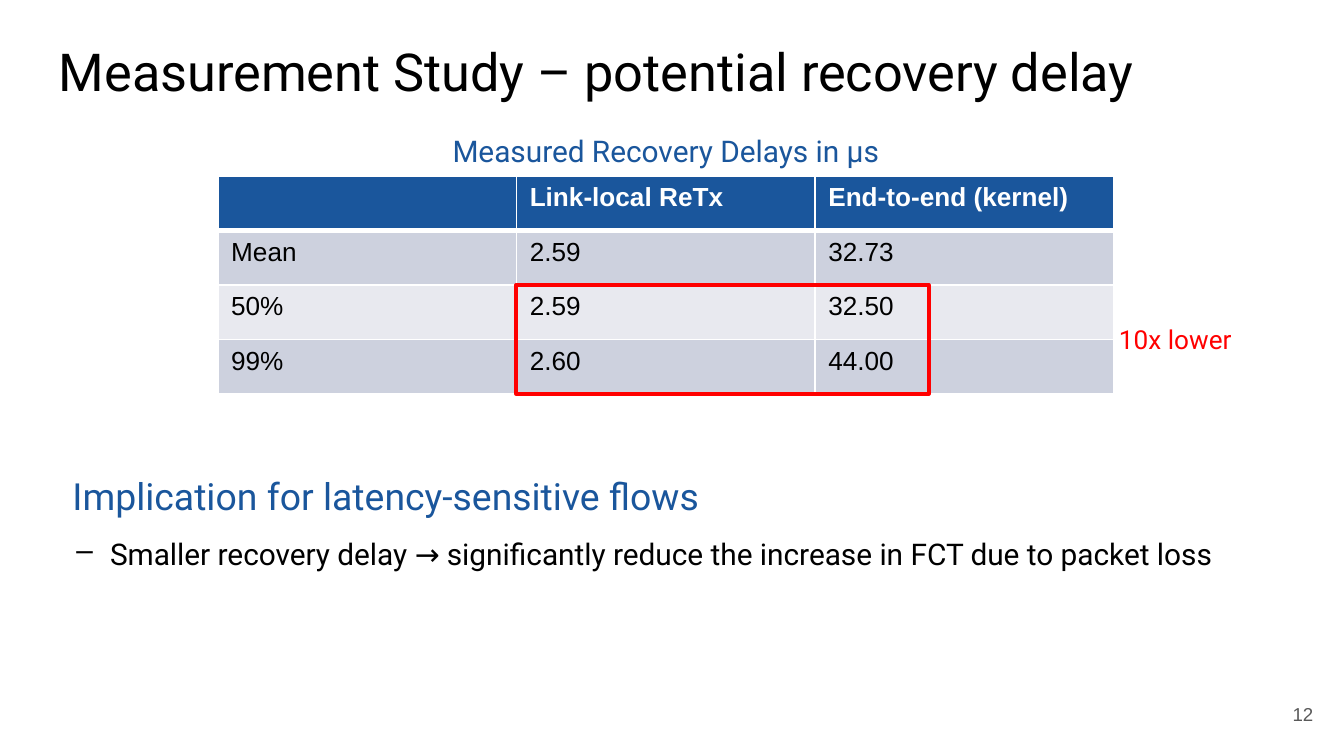
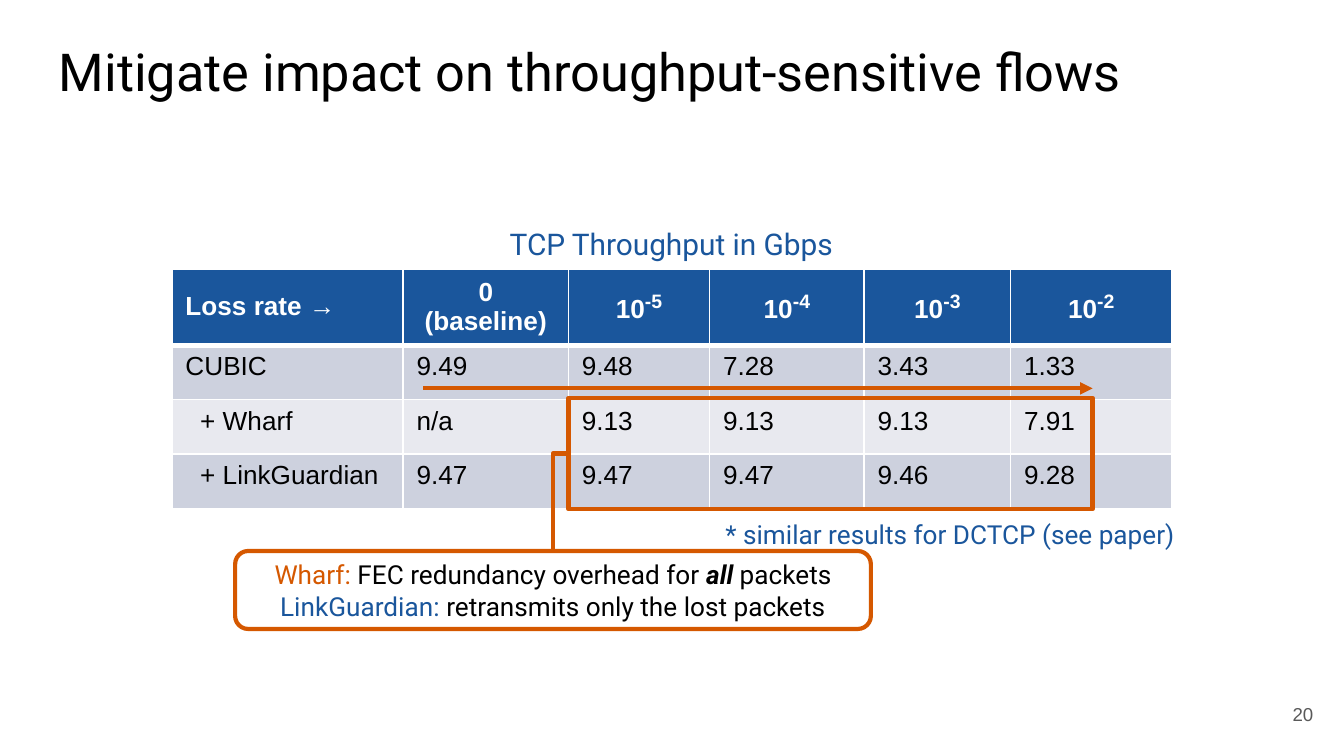
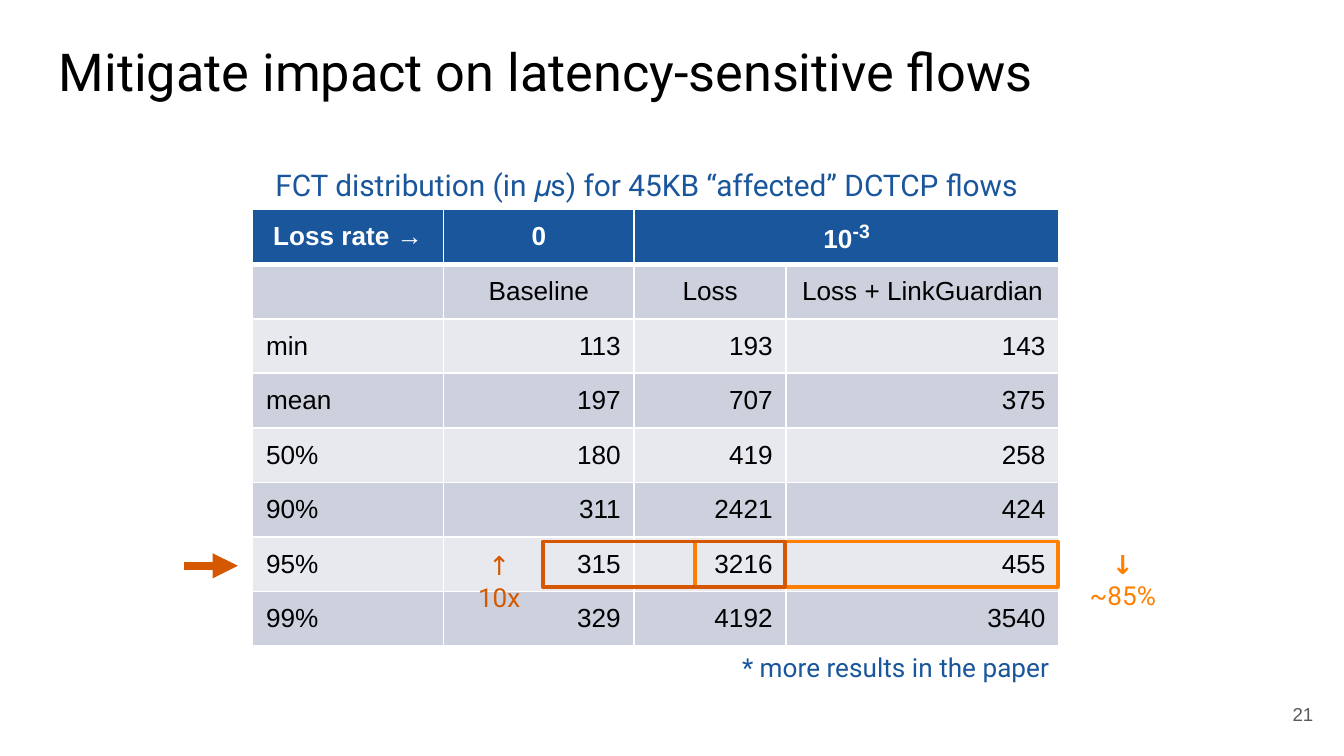
from dataclasses import dataclass

import pptx
import pptx.dml.color
import pptx.enum.shapes
import pptx.enum.text
import pptx.oxml
import pptx.oxml.ns
import pptx.util
from lxml import etree

ALIGN = pptx.enum.text.PP_ALIGN
ANCHOR = pptx.enum.text.MSO_ANCHOR
SHAPE = pptx.enum.shapes.MSO_SHAPE
CONNECTOR = pptx.enum.shapes.MSO_CONNECTOR
qn = pptx.oxml.ns.qn


@dataclass(frozen=True)
class Theme:
    black: str = "000000"
    white: str = "FFFFFF"
    blue: str = "1A569C"
    red: str = "FF0000"
    rust: str = "D55800"
    orange: str = "FF8001"
    gray: str = "595959"
    band_dark: str = "CDD1DE"
    band_light: str = "E8E9EF"
    body_font: str = "Roboto"
    table_font: str = "Arial"
    title_size: int = 28
    heading_size: int = 20
    superscript_size: int = 18
    caption_size: int = 16
    text_size: int = 14
    number_size: int = 10


THEME = Theme()
GRID_STEP = 0.1
GRID_COLUMNS = 100
GRID_ROWS = 56.25
TABLE_ROW = 4.06


@dataclass(frozen=True)
class Piece:
    text: str
    color: str = THEME.black
    size: int = THEME.text_size
    font: str = THEME.body_font
    bold: bool = False
    italic: bool = False
    superscript: bool = False


def grid(*steps):
    return [pptx.util.Inches(step * GRID_STEP) for step in steps]


def rgb(value):
    return pptx.dml.color.RGBColor.from_string(value)


def write(paragraph, pieces, alignment=ALIGN.LEFT):
    paragraph.alignment = alignment
    for piece in pieces:
        run = paragraph.add_run()
        run.text = piece.text
        run.font.name = piece.font
        run.font.size = pptx.util.Pt(piece.size)
        run.font.bold = piece.bold
        run.font.italic = piece.italic
        run.font.color.rgb = rgb(piece.color)
        if piece.superscript:
            run.font._element.set("baseline", "30000")


def indent(paragraph, margin, hanging=0, bullet=None):
    properties = paragraph._p.get_or_add_pPr()
    properties.set("marL", str(pptx.util.Inches(margin)))
    properties.set("indent", str(-pptx.util.Inches(hanging)))
    if bullet:
        etree.SubElement(properties, qn("a:buChar")).set("char", bullet)


def add_text_box(slide, box, wrap=True, inset=0.1):
    text_frame = slide.shapes.add_textbox(*grid(*box)).text_frame
    text_frame.word_wrap = wrap
    text_frame.margin_top = text_frame.margin_bottom = pptx.util.Inches(inset)
    return text_frame


def add_label(slide, box, pieces, alignment=ALIGN.CENTER, wrap=False):
    text_frame = add_text_box(slide, box, wrap, inset=0.05)
    text_frame.auto_size = pptx.enum.text.MSO_AUTO_SIZE.SHAPE_TO_FIT_TEXT
    write(text_frame.paragraphs[0], pieces, alignment)


def add_caption(slide, box, text, alignment=ALIGN.CENTER, wrap=False):
    add_label(slide, box, [Piece(text, THEME.blue, THEME.caption_size)], alignment, wrap)


def add_slide(presentation, title, number):
    slide = presentation.slides.add_slide(presentation.slide_layouts[6])
    title_frame = add_text_box(slide, (3.4, 1.9, 93.2, 6.3))
    write(title_frame.paragraphs[0], [Piece(title, size=THEME.title_size)])
    number_frame = add_text_box(slide, (92.7, 51, 6, 4.3))
    number_frame.vertical_anchor = ANCHOR.MIDDLE
    number_piece = Piece(number, THEME.gray, THEME.number_size, THEME.table_font)
    write(number_frame.paragraphs[0], [number_piece], ALIGN.RIGHT)
    return slide


def set_borders(cell, row):
    properties = cell._tc.get_or_add_tcPr()
    widths = {"L": 1, "R": 1, "T": 3 if row == 1 else 1, "B": 3 if row == 0 else 1}
    for side, width in widths.items():
        line = etree.SubElement(properties, qn(f"a:ln{side}"))
        line.set("w", str(pptx.util.Pt(width)))
        fill = etree.SubElement(line, qn("a:solidFill"))
        etree.SubElement(fill, qn("a:srgbClr")).set("val", THEME.white)


def fill_cell(cell, text, row, alignment):
    set_borders(cell, row)
    header = row == 0
    band = THEME.band_dark if row % 2 else THEME.band_light
    cell.fill.solid()
    cell.fill.fore_color.rgb = rgb(THEME.blue if header else band)
    if not text:
        return
    color = THEME.white if header else THEME.black
    base, _, exponent = text.partition("^")
    pieces = [Piece(base, color, font=THEME.table_font, bold=header)]
    if exponent:
        pieces.append(Piece(exponent, color, THEME.superscript_size,
                            THEME.table_font, bold=header, superscript=True))
    paragraph = cell.text_frame.paragraphs[0]
    write(paragraph, pieces, alignment)
    if text.startswith("+"):
        indent(paragraph, 0.11)


def add_table(slide, left, top, columns, rows, align, anchor, header_height=TABLE_ROW):
    heights = [header_height] + [TABLE_ROW] * (len(rows) - 1)
    frame = slide.shapes.add_table(len(rows), len(columns),
                                   *grid(left, top, sum(columns), sum(heights)))
    table = frame.table
    table.horz_banding = False
    for column, width in zip(table.columns, grid(*columns)):
        column.width = width
    for row, height in zip(table.rows, grid(*heights)):
        row.height = height
    for row, texts in enumerate(rows):
        for column, text in enumerate(texts):
            cell = table.cell(row, column)
            cell.vertical_anchor = anchor(row)
            fill_cell(cell, text, row, align(row, column))
    return table


def add_outline(slide, box, color, width=2, preset=SHAPE.RECTANGLE, fill=None):
    shape = slide.shapes.add_shape(preset, *grid(*box))
    shape.shadow.inherit = False
    if fill:
        shape.fill.solid()
        shape.fill.fore_color.rgb = rgb(fill)
    else:
        shape.fill.background()
    shape.line.color.rgb = rgb(color)
    shape.line.width = pptx.util.Pt(width)
    return shape


def add_line(slide, ends, color, width, kind=CONNECTOR.STRAIGHT, arrow=True):
    connector = slide.shapes.add_connector(kind, *grid(*ends))
    connector.line.color.rgb = rgb(color)
    connector.line.width = pptx.util.Pt(width)
    if arrow:
        line = connector.line._get_or_add_ln()
        etree.SubElement(line, qn("a:tailEnd")).set("type", "triangle")
    etree.SubElement(connector._element.spPr, qn("a:effectLst"))
    return connector


def join_with_corner(slide, source, target, color, width):
    connector = add_line(slide, (0, 0, 0, 0), color, width, CONNECTOR.ELBOW, arrow=False)
    connector.begin_connect(source, 1)
    connector.end_connect(target, 0)
    connector._element.spPr.find(qn("a:prstGeom")).set("prst", "bentConnector2")


def build_recovery_delay(presentation):
    slide = add_slide(presentation, "Measurement Study – potential recovery delay", "12")
    body = add_text_box(slide, (3.4, 34.2, 93.2, 15.8))
    heading = body.paragraphs[0]
    indent(heading, 0.1)
    write(heading, [Piece("Implication for latency-sensitive flows", THEME.blue,
                          THEME.heading_size)])
    point = body.add_paragraph()
    point.level = 1
    point.line_spacing = 1.5
    indent(point, 0.38, 0.25, "–")
    write(point, [Piece("Smaller recovery delay → significantly reduce the increase in FCT "
                        "due to packet loss", size=THEME.caption_size)])
    rows = [
        ("", "Link-local ReTx", "End-to-end (kernel)"),
        ("Mean", "2.59", "32.73"),
        ("50%", "2.59", "32.50"),
        ("99%", "2.60", "44.00"),
    ]
    add_table(slide, 16.2, 13.1, [22.22] * 3, rows,
              lambda row, column: ALIGN.LEFT, lambda row: ANCHOR.TOP)
    add_caption(slide, (32.4, 9.4, 34.3, 3.7), "Measured Recovery Delays in µs")
    add_outline(slide, (38.4, 21.2, 30.7, 8.1), THEME.red)
    add_label(slide, (82.2, 23.6, 10.5, 3.4), [Piece("10x lower", THEME.red)])


def build_throughput(presentation):
    slide = add_slide(presentation, "Mitigate impact on throughput-sensitive flows", "20")
    rows = [
        ("Loss rate →", "0 (baseline)", "10^-5", "10^-4", "10^-3", "10^-2"),
        ("CUBIC", "9.49", "9.48", "7.28", "3.43", "1.33"),
        ("+ Wharf", "n/a", "9.13", "9.13", "9.13", "7.91"),
        ("+ LinkGuardian", "9.47", "9.47", "9.47", "9.46", "9.28"),
    ]
    add_table(slide, 12.8, 20, [17.2, 12.3, 10.5, 11.5, 10.9, 12], rows,
              lambda row, column: ALIGN.CENTER if row == 0 and column else ALIGN.LEFT,
              lambda row: ANCHOR.TOP if row else ANCHOR.MIDDLE, header_height=5.3)
    add_caption(slide, (36.7, 16.3, 26.5, 3.7), "TCP Throughput in Gbps")
    add_line(slide, (31.5, 28.9, 81.3, 28.9), THEME.rust, 2.25)
    compared = add_outline(slide, (42.3, 29.6, 39, 8.3), THEME.rust, 2.25)
    callout = add_outline(slide, (17.5, 41, 47.3, 5.8), THEME.rust, 2.25,
                          SHAPE.ROUNDED_RECTANGLE, THEME.white)
    text_frame = callout.text_frame
    text_frame.word_wrap = True
    text_frame.vertical_anchor = ANCHOR.MIDDLE
    write(text_frame.paragraphs[0],
          [Piece("Wharf: ", THEME.rust), Piece("FEC redundancy overhead for "),
           Piece("all", bold=True, italic=True), Piece(" packets")], ALIGN.CENTER)
    write(text_frame.add_paragraph(),
          [Piece("LinkGuardian: ", THEME.blue), Piece("retransmits only the lost packets")],
          ALIGN.CENTER)
    join_with_corner(slide, compared, callout, THEME.rust, 2.25)
    add_label(slide, (52.8, 38.1, 35.8, 3.4),
              [Piece("* similar results for DCTCP (see paper)", THEME.blue)])


def align_latency(row, column):
    if row == 0 or (row == 1 and column):
        return ALIGN.CENTER
    return ALIGN.RIGHT if column else ALIGN.LEFT


def build_latency(presentation):
    slide = add_slide(presentation, "Mitigate impact on latency-sensitive flows", "21")
    rows = [
        ("Loss rate →", "0", "10^-3", ""),
        ("", "Baseline", "Loss", "Loss + LinkGuardian"),
        ("min", "113", "193", "143"),
        ("mean", "197", "707", "375"),
        ("50%", "180", "419", "258"),
        ("90%", "311", "2421", "424"),
        ("95%", "315", "3216", "455"),
        ("99%", "329", "4192", "3540"),
    ]
    table = add_table(slide, 18.8, 15.6, [14.2, 14.2, 11.3, 20.3], rows,
                      align_latency, lambda row: ANCHOR.MIDDLE)
    table.cell(0, 2).merge(table.cell(0, 3))
    add_caption(slide, (19.5, 11.9, 58.1, 3.7),
                "FCT distribution (in 𝜇s) for 45KB “affected” DCTCP flows",
                ALIGN.LEFT, wrap=True)
    add_label(slide, (54.1, 48, 25.1, 3.4), [Piece("* more results in the paper", THEME.blue)])
    add_outline(slide, (51.7, 40.3, 27, 3.4), THEME.orange)
    add_label(slide, (79.3, 40.3, 8.5, 3.4),
              [Piece("↓", THEME.orange, bold=True), Piece(" ~85%", THEME.orange)], wrap=True)
    add_line(slide, (13.7, 42.1, 17.7, 42.1), THEME.rust, 4.5)
    add_outline(slide, (40.4, 40.3, 18, 3.4), THEME.rust)
    add_label(slide, (33.8, 40.4, 6.7, 3.4), [Piece("↑ 10x", THEME.rust)], wrap=True)


def main():
    presentation = pptx.Presentation()
    presentation.slide_width, presentation.slide_height = grid(GRID_COLUMNS, GRID_ROWS)
    build_recovery_delay(presentation)
    build_throughput(presentation)
    build_latency(presentation)
    presentation.save("out.pptx")


if __name__ == "__main__":
    main()
